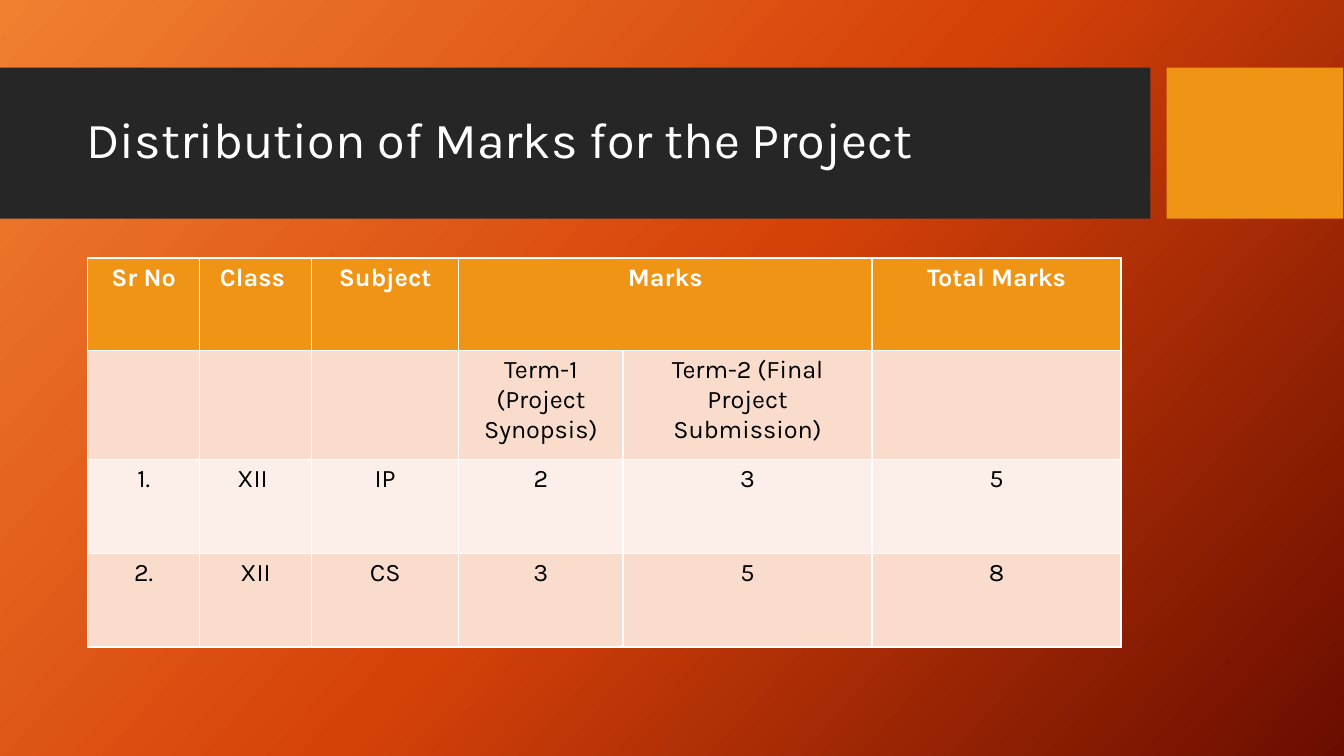
from lxml.etree import SubElement
from pptx import Presentation
from pptx.dml.color import RGBColor as Rgb
from pptx.enum.shapes import MSO_SHAPE as Shape
from pptx.enum.text import MSO_ANCHOR as Anchor, PP_ALIGN as Align
from pptx.oxml.ns import qn
from pptx.util import Inches, Pt

FONT = "Karla"
COLORS = {
    "bar": "262626", "accent": "F09415", "white": "FFFFFF", "black": "000000",
    "dark_band": "F9DCCC", "light_band": "FCEEE8",
}
GRADIENT = {0: "F18031", 50: "D54209", 100: "6A0D00"}
BAND_TOP, BAND_HEIGHT = 0.67, 1.5
COLUMNS = [1.11, 1.11, 1.46, 1.63, 2.47, 2.47]
ROWS = [0.92, 1.08, 0.93, 0.93]
MARKS = [
    ["Sr No", "Class ", "Subject", "Marks", "", "Total Marks"],
    ["", "", "", "Term-1 (Project Synopsis)", "Term-2 (Final Project Submission)", ""],
    ["1.", "XII ", "IP", "2", "3", "5"],
    ["2.", "XII", "CS", "3", "5", "8"],
]
ROW_FILLS = ["accent", "dark_band", "light_band", "dark_band"]


def color(name):
    """Return a palette colour."""
    return Rgb.from_string(COLORS[name])


def paint_background(page):
    """Fill the page with the diagonal gradient."""
    fill = page.background.fill
    fill.gradient()
    fill.gradient_angle = 360 - 42
    stops = page.element.find(".//" + qn("a:gsLst"))
    for stop in list(stops):
        stops.remove(stop)
    for position, shade in GRADIENT.items():
        stop = SubElement(stops, qn("a:gs"), pos=str(position * 1000))
        SubElement(stop, qn("a:srgbClr"), val=shade)


def add_block(page, left, width, fill):
    """Add a plain rectangle in the title band."""
    block = page.shapes.add_shape(
        Shape.RECTANGLE, Inches(left), Inches(BAND_TOP), Inches(width), Inches(BAND_HEIGHT))
    block.shadow.inherit = False
    block.fill.solid()
    block.fill.fore_color.rgb = color(fill)
    block.line.fill.background()


def add_span(para, text, size, shade, bold=False):
    """Add one formatted run to a paragraph."""
    span = para.add_run()
    span.text = text
    span.font.name = FONT
    span.font.size = Pt(size)
    span.font.bold = bold
    span.font.color.rgb = color(shade)


def add_title(page, text):
    """Add the title over the dark bar."""
    box = page.shapes.add_textbox(Inches(0.76), Inches(0.82), Inches(10.5), Inches(1.18))
    frame = box.text_frame
    frame.word_wrap = True
    frame.vertical_anchor = Anchor.MIDDLE
    para = frame.paragraphs[0]
    para.line_spacing = 0.9
    add_span(para, text, 36, "white")


def add_borders(cell):
    """Draw thin white lines on all sides of a cell."""
    props = cell._tc.get_or_add_tcPr()
    for index, side in enumerate(("lnL", "lnR", "lnT", "lnB")):
        line = props.makeelement(qn("a:" + side), {"w": str(Pt(1))})
        props.insert(index, line)
        fill = SubElement(line, qn("a:solidFill"))
        SubElement(fill, qn("a:srgbClr"), val=COLORS["white"])


def add_marks_table(page):
    """Add the table of marks per class and term."""
    table = page.shapes.add_table(
        len(ROWS), len(COLUMNS), Inches(0.87), Inches(2.56),
        Inches(sum(COLUMNS)), Inches(sum(ROWS))).table
    for column, width in zip(table.columns, COLUMNS):
        column.width = Inches(width)
    for number, (row, height) in enumerate(zip(table.rows, ROWS)):
        row.height = Inches(height)
        header = number == 0
        for cell, text in zip(row.cells, MARKS[number]):
            cell.fill.solid()
            cell.fill.fore_color.rgb = color(ROW_FILLS[number])
            add_borders(cell)
            if text:
                para = cell.text_frame.paragraphs[0]
                para.alignment = Align.CENTER
                add_span(para, text, 18, "white" if header else "black", header)
    table.cell(0, 3).merge(table.cell(0, 4))


def main():
    """Build and save the slide."""
    deck = Presentation()
    deck.slide_width, deck.slide_height = Inches(13.33), Inches(7.5)
    page = deck.slides.add_slide(deck.slide_layouts[6])
    paint_background(page)
    add_block(page, 0, 11.41, "bar")
    add_block(page, 11.57, 1.75, "accent")
    add_title(page, "Distribution of Marks for the Project")
    add_marks_table(page)
    deck.save("out.pptx")


main()
